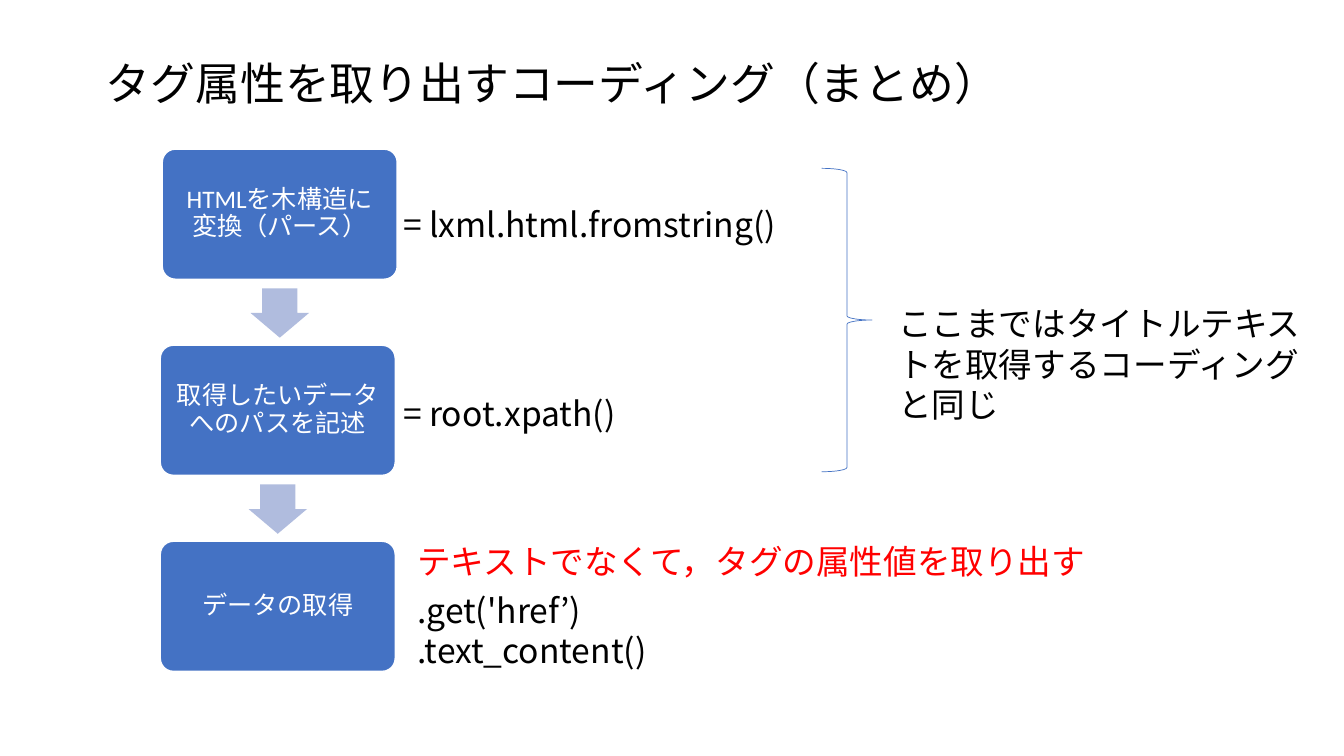
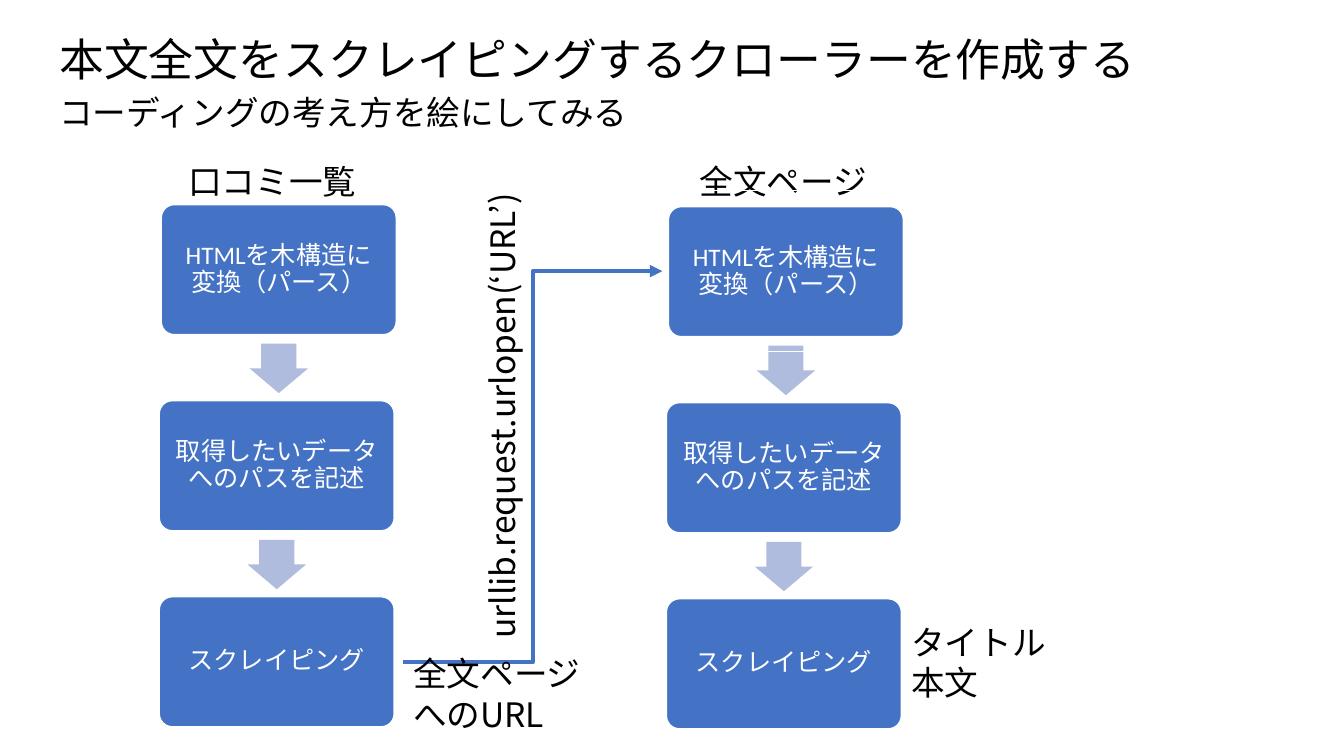
"""Build two slides on the flow of scraping code, from parsing to extraction."""
import lxml.etree
import pptx
import pptx.dml.color
import pptx.enum.shapes
import pptx.enum.text
import pptx.oxml.ns
import pptx.util

PX = 9144
SLIDE_SIZE = 1333, 750
BLUE, PALE, WHITE, BLACK, RED = "4472C4", "B0BCDE", "FFFFFF", "000000", "FF0000"
CJK = "Noto Sans CJK JP"
TITLE = {"size": 32, "name": CJK, "color": BLACK}
NOTE = {**TITLE, "size": 24}
ALERT = {**NOTE, "color": RED}
STEP = {"size": 18, "name": "Calibri", "color": WHITE}

BOX_SIZE = 233, 129
ARROW_SIZE = 58, 49
STEP_PITCH, ARROW_GAP, FIRST_SHIFT, STEP_MARGIN = 194.5, 9, 2, 11

PARSE, LOCATE = "HTMLを木構造に変換（パース）", "取得したいデータへのパスを記述"
SCRAPE_STEPS = [PARSE, LOCATE, "スクレイピング"]

SLIDES = [
    {
        "flows": [(159, 148, [PARSE, LOCATE, "データの取得"])],
        "texts": [
            ("タグ属性を取り出すコーディング（まとめ）", (95, 50, 918, 64), TITLE, {}),
            ("= lxml.html.fromstring()", (390, 197, 425, 50), NOTE, {}),
            ("= root.xpath()", (390, 385, 259, 50), NOTE, {}),
            ("テキストでなくて，タグの属性値を取り出す", (404, 532, 693, 50), ALERT, {}),
            (".get('href’)\n.text_content()", (404, 580, 270, 91), NOTE, {}),
            ("ここまではタイトルテキストを取得するコーディングと同じ",
             (881, 296, 430, 131), NOTE, {"wrap": True}),
        ],
        "outlines": [("RIGHT_BRACE", (815, 167, 50, 301), BLUE, 0.5)],
        "links": [],
    },
    {
        "flows": [(158, 203, SCRAPE_STEPS), (661, 205, SCRAPE_STEPS)],
        "texts": [
            ("本文全文をスクレイピングするクローラーを作成する", (49, 27, 1097, 64), TITLE, {}),
            ("コーディングの考え方を絵にしてみる", (49, 86, 592, 50), NOTE, {}),
            ("口コミ一覧", (177, 155, 188, 50), NOTE, {}),
            ("全文ページ", (684, 155, 188, 50), NOTE, {}),
            ("タイトル\n本文", (894, 612, 155, 91), NOTE, {}),
            ("全文ページへのURL", (400, 643, 214, 91), NOTE, {"wrap": True}),
            ("urllib.request.urlopen(‘URL’)", (257, 377, 483, 50), NOTE, {"rotation": 270}),
        ],
        "outlines": [("RECTANGLE", (657, 189, 286, 160), WHITE, 1)],
        "links": [(400, 657, 657, 269)],
    },
]


def emu(*lengths):
    return [pptx.util.Emu(round(length * PX)) for length in lengths]


def rgb(value):
    return pptx.dml.color.RGBColor.from_string(value)


def set_all(target, values):
    for name, value in values.items():
        setattr(target, name, value)


def write(frame, text, style, **paragraph_format):
    frame.text = text
    for paragraph in frame.paragraphs:
        set_all(paragraph, paragraph_format)
        for run in paragraph.runs:
            set_all(run.font, {"size": pptx.util.Pt(style["size"]), "name": style["name"]})
            run.font.color.rgb = rgb(style["color"])
            east_asian = lxml.etree.SubElement(run.font._element, pptx.oxml.ns.qn("a:ea"))
            east_asian.set("typeface", CJK)


def add_preset(shapes, preset, place, fill=None, line=None, width=1, adjustments=()):
    kind = getattr(pptx.enum.shapes.MSO_SHAPE, preset)
    shape = shapes.add_shape(kind, *emu(*place))
    shape.shadow.inherit = False
    for index, value in enumerate(adjustments):
        shape.adjustments[index] = value
    if fill:
        shape.fill.solid()
        shape.fill.fore_color.rgb = rgb(fill)
    else:
        shape.fill.background()
    if line:
        shape.line.color.rgb = rgb(line)
        shape.line.width = pptx.util.Pt(width)
    else:
        shape.line.fill.background()
    return shape


def add_flow(slide, left, top, steps):
    flow = slide.shapes.add_group_shape().shapes
    box_width, box_height = BOX_SIZE
    arrow_width, arrow_height = ARROW_SIZE
    margin, = emu(STEP_MARGIN)
    for index, step in enumerate(steps):
        x = left + (FIRST_SHIFT if index == 0 else 0)
        y = top + index * STEP_PITCH
        box = add_preset(flow, "ROUNDED_RECTANGLE", (x, y, *BOX_SIZE), BLUE, WHITE,
                         adjustments=[0.1])
        set_all(box.text_frame, {
            "word_wrap": True, "vertical_anchor": pptx.enum.text.MSO_ANCHOR.MIDDLE,
            "margin_left": margin, "margin_right": margin,
            "margin_top": margin, "margin_bottom": margin,
        })
        write(box.text_frame, step, STEP, line_spacing=0.9,
              alignment=pptx.enum.text.PP_ALIGN.CENTER)
        if index < len(steps) - 1:
            arrow_place = (x + (box_width - arrow_width) / 2, y + box_height + ARROW_GAP,
                           arrow_width, arrow_height)
            add_preset(flow, "DOWN_ARROW", arrow_place, PALE, adjustments=[0.6, 0.5])


def add_text(slide, text, place, style, wrap=False, rotation=0):
    label = slide.shapes.add_textbox(*emu(*place))
    label.rotation = rotation
    set_all(label.text_frame, {
        "word_wrap": wrap, "auto_size": pptx.enum.text.MSO_AUTO_SIZE.SHAPE_TO_FIT_TEXT,
    })
    write(label.text_frame, text, style)


def add_link(slide, *ends):
    link = slide.shapes.add_connector(pptx.enum.shapes.MSO_CONNECTOR.ELBOW, *emu(*ends))
    link.line.color.rgb = rgb(BLUE)
    link.line.width = pptx.util.Pt(3)
    qn = pptx.oxml.ns.qn
    lxml.etree.SubElement(link.line._get_or_add_ln(), qn("a:tailEnd")).set("type", "triangle")
    lxml.etree.SubElement(link._element.spPr, qn("a:effectLst"))


def main():
    deck = pptx.Presentation()
    deck.slide_width, deck.slide_height = emu(*SLIDE_SIZE)
    for content in SLIDES:
        slide = deck.slides.add_slide(deck.slide_layouts[6])
        for flow in content["flows"]:
            add_flow(slide, *flow)
        for link in content["links"]:
            add_link(slide, *link)
        for text, place, style, options in content["texts"]:
            add_text(slide, text, place, style, **options)
        for preset, place, line, width in content["outlines"]:
            add_preset(slide.shapes, preset, place, line=line, width=width)
    deck.save("out.pptx")


if __name__ == "__main__":
    main()
